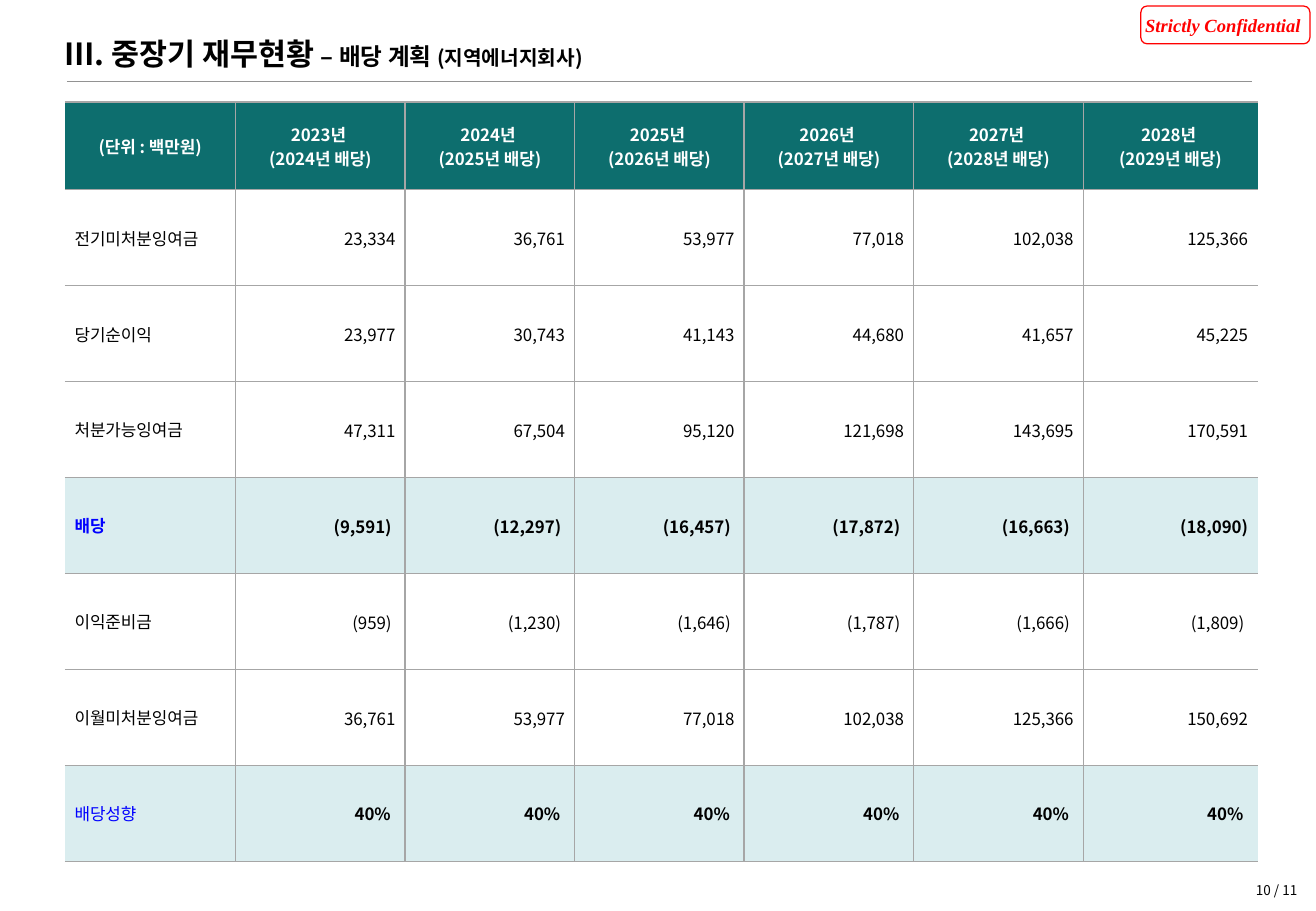
"""Builds the dividend plan slide with its table of yearly figures."""
import pptx
import pptx.dml.color
import pptx.enum.shapes
import pptx.enum.text
import pptx.oxml.ns
import pptx.util
from lxml import etree

Pt = pptx.util.Pt
RGBColor = pptx.dml.color.RGBColor
ALIGN = pptx.enum.text.PP_ALIGN
MIDDLE = pptx.enum.text.MSO_ANCHOR.MIDDLE
qn = pptx.oxml.ns.qn

BLACK = RGBColor(0x00, 0x00, 0x00)
WHITE = RGBColor(0xFF, 0xFF, 0xFF)
RED = RGBColor(0xFF, 0x00, 0x00)
BLUE = RGBColor(0x00, 0x00, 0xFF)
TEAL = RGBColor(0x0D, 0x6E, 0x6E)
PALE_TEAL = RGBColor(0xDA, 0xED, 0xEF)
RULE_GREY = RGBColor(0x92, 0x92, 0x92)
BORDER_GREY = RGBColor(0xA6, 0xA6, 0xA6)
SANS = "Noto Sans CJK KR"
SERIF = "Times New Roman"

TITLE = [("Ⅲ. 중장기 재무현황 ", 18), ("– 배당 계획 ", 14), ("(지역에너지회사)", 12)]
STAMP = "Strictly Confidential "
PAGE = "10 / 11"
UNIT = "(단위 : 백만원)"
YEARS = range(2023, 2029)
ROWS = [
    ("전기미처분잉여금", ["23,334", "36,761", "53,977", "77,018", "102,038", "125,366"]),
    ("당기순이익", ["23,977", "30,743", "41,143", "44,680", "41,657", "45,225"]),
    ("처분가능잉여금", ["47,311", "67,504", "95,120", "121,698", "143,695", "170,591"]),
    ("배당", ["(9,591) ", "(12,297) ", "(16,457) ", "(17,872) ", "(16,663) ", "(18,090)"]),
    ("이익준비금", ["(959) ", "(1,230) ", "(1,646) ", "(1,787) ", "(1,666) ", "(1,809) "]),
    ("이월미처분잉여금", ["36,761", "53,977", "77,018", "102,038", "125,366", "150,692"]),
    ("배당성향", ["40%"] * 6),
]
HIGHLIGHTED = {"배당", "배당성향"}
BOLD_LABELS = {"배당"}
COL_WIDTHS = [101.2] + [100.5] * 5 + [103.4]
ROW_HEIGHTS = [52.1] + [56.9] * len(ROWS)


def add_run(p, text, size, color=BLACK, bold=False, italic=False, font=SANS):
    r = p.add_run()
    r.text = text
    r.font.size = Pt(size)
    r.font.bold = bold
    r.font.italic = italic
    r.font.color.rgb = color
    r.font.name = font
    etree.SubElement(r.font._element, qn("a:ea"), typeface=font)


def set_margins(target, left, top, right, bottom):
    target.margin_left, target.margin_top = Pt(left), Pt(top)
    target.margin_right, target.margin_bottom = Pt(right), Pt(bottom)


def add_text_box(slide, left, top, width, height, margins):
    tf = slide.shapes.add_textbox(Pt(left), Pt(top), Pt(width), Pt(height)).text_frame
    tf.word_wrap = True
    set_margins(tf, *margins)
    return tf


def set_borders(cell, first, last):
    tcPr = cell._tc.get_or_add_tcPr()
    for side in ("lnL", "lnR", "lnT", "lnB"):
        ln = etree.SubElement(tcPr, qn(f"a:{side}"), w=str(Pt(1)))
        if (side == "lnL" and first) or (side == "lnR" and last):
            etree.SubElement(ln, qn("a:noFill"))
        else:
            fill = etree.SubElement(ln, qn("a:solidFill"))
            etree.SubElement(fill, qn("a:srgbClr"), val=str(BORDER_GREY))


def fill_cell(cell, col, lines, margins, align, fill, color, bold):
    set_borders(cell, col == 0, col == len(COL_WIDTHS) - 1)
    cell.fill.solid()
    cell.fill.fore_color.rgb = fill
    cell.vertical_anchor = MIDDLE
    set_margins(cell, *margins)
    tf = cell.text_frame
    for i, line in enumerate(lines):
        p = tf.add_paragraph() if i else tf.paragraphs[0]
        p.alignment = align
        add_run(p, line, 10, color, bold)


def add_stamp(slide):
    sp = slide.shapes.add_shape(pptx.enum.shapes.MSO_SHAPE.ROUNDED_RECTANGLE,
                                Pt(676.2), Pt(3.6), Pt(100.2), Pt(22.4))
    sp.shadow.inherit = False
    sp.fill.background()
    sp.line.color.rgb = RED
    sp.line.width = Pt(0.75)
    tf = sp.text_frame
    tf.word_wrap = False
    tf.vertical_anchor = MIDDLE
    set_margins(tf, 5.8, 2.9, 5.8, 2.9)
    tf.paragraphs[0].alignment = ALIGN.CENTER
    add_run(tf.paragraphs[0], STAMP, 11, RED, True, True, SERIF)


def add_title(slide):
    rule = slide.shapes.add_connector(pptx.enum.shapes.MSO_CONNECTOR.STRAIGHT,
                                      Pt(39.6), Pt(48.2), Pt(742.3), Pt(48.2))
    rule.line.color.rgb = RULE_GREY
    rule.line.width = Pt(0.5)
    etree.SubElement(rule._element.spPr, qn("a:effectLst"))
    tf = add_text_box(slide, 38.2, 20.2, 499.7, 25.9, (0, 3.6, 7.2, 3.6))
    p = tf.paragraphs[0]
    p.line_spacing = 0.86
    for text, size in TITLE:
        add_run(p, text, size, bold=True)


def add_page_number(slide):
    tf = add_text_box(slide, 714.2, 517.7, 61.9, 19.4, (7.2, 3.6, 7.2, 3.6))
    tf.vertical_anchor = MIDDLE
    tf.paragraphs[0].alignment = ALIGN.RIGHT
    add_run(tf.paragraphs[0], PAGE, 8)


def add_dividend_table(slide):
    table = slide.shapes.add_table(len(ROW_HEIGHTS), len(COL_WIDTHS), Pt(38.4), Pt(60.4),
                                   Pt(sum(COL_WIDTHS)), Pt(sum(ROW_HEIGHTS))).table
    table.first_row = table.horz_banding = False
    for column, width in zip(table.columns, COL_WIDTHS):
        column.width = Pt(width)
    for row, height in zip(table.rows, ROW_HEIGHTS):
        row.height = Pt(height)

    headers = [[UNIT]] + [[f"{y}년 ", f"({y + 1}년 배당)"] for y in YEARS]
    for col, lines in enumerate(headers):
        margins = (0.7, 0.7, 0.7, 0) if col else (0, 0, 0, 0)
        fill_cell(table.cell(0, col), col, lines, margins, ALIGN.CENTER, TEAL, WHITE, True)

    for row, (label, values) in enumerate(ROWS, 1):
        marked = label in HIGHLIGHTED
        fill = PALE_TEAL if marked else WHITE
        fill_cell(table.cell(row, 0), 0, [label], (5.8, 0, 0, 0), ALIGN.LEFT, fill,
                  BLUE if marked else BLACK, label in BOLD_LABELS)
        for col, value in enumerate(values, 1):
            margins = (0, 0, 8.6, 0) if value.endswith("%") else (0, 0.7, 5.8, 0)
            fill_cell(table.cell(row, col), col, [value], margins, ALIGN.RIGHT, fill,
                      BLACK, marked)


def main():
    prs = pptx.Presentation()
    prs.slide_width, prs.slide_height = Pt(780), Pt(540)
    slide = prs.slides.add_slide(prs.slide_layouts[6])
    add_stamp(slide)
    add_title(slide)
    add_page_number(slide)
    add_dividend_table(slide)
    prs.save("out.pptx")


if __name__ == "__main__":
    main()
